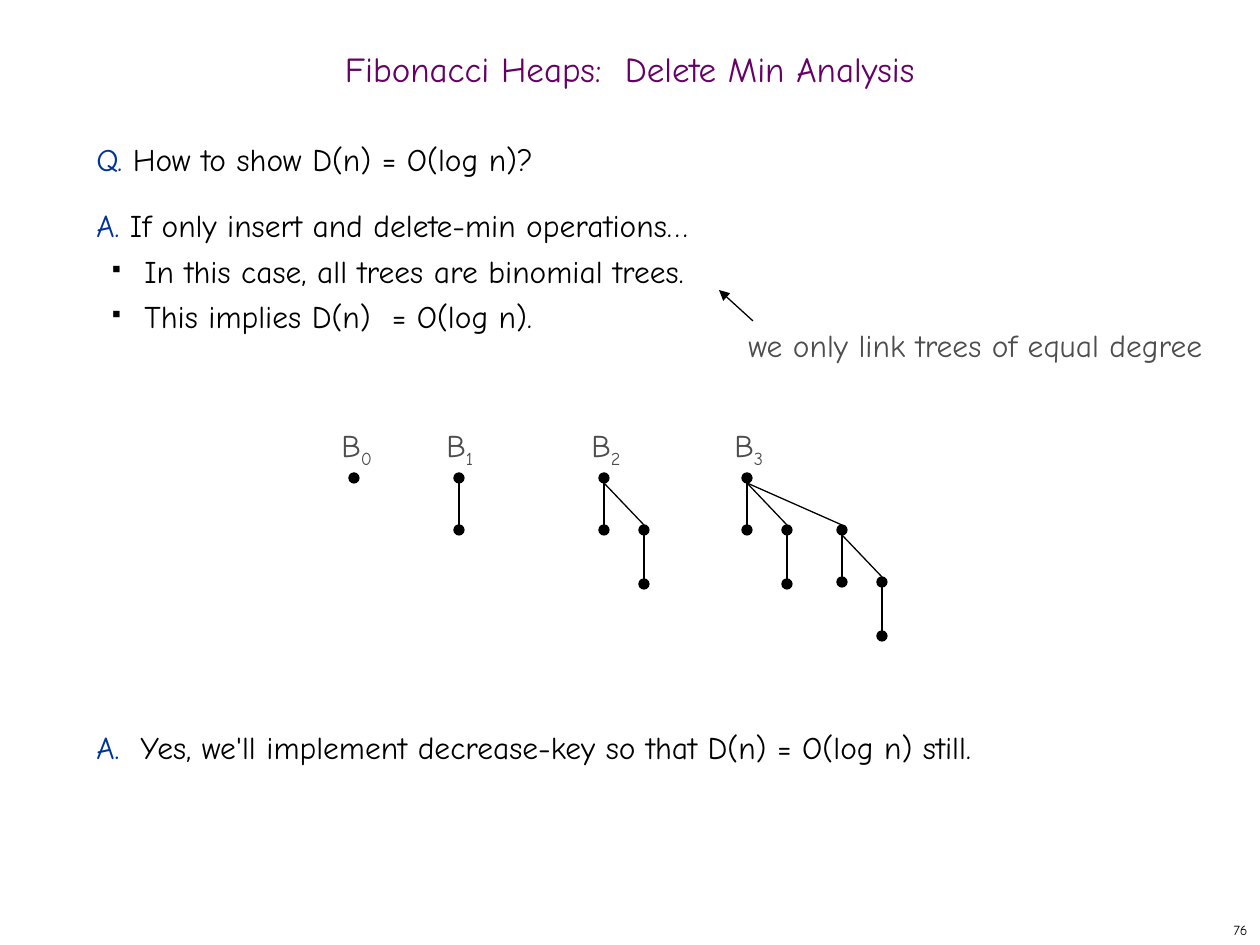
"""Build the slide on binomial trees in the analysis of delete-min."""
from dataclasses import dataclass

from lxml.etree import SubElement
from pptx import Presentation
from pptx.dml.color import RGBColor
from pptx.enum.shapes import MSO_CONNECTOR, MSO_SHAPE
from pptx.enum.text import MSO_ANCHOR, MSO_AUTO_SIZE, PP_ALIGN
from pptx.oxml.ns import qn
from pptx.util import Emu, Pt


@dataclass(frozen=True)
class Theme:
    font: str = "Comic Neue"
    purple: str = "660066"
    blue: str = "003399"
    black: str = "000000"
    gray: str = "4D4D4D"
    title: int = 20
    body: int = 18
    number: int = 8
    line: float = 0.75


def px(n):
    return Emu(round(n * 914400 / 126))


def apply(obj, values):
    for name, value in values.items():
        setattr(obj, name, value)


class Deck:
    NODE = 10
    SPREAD = (0, 40, 95)

    def __init__(self, theme):
        self.theme = theme
        self.prs = Presentation()
        apply(self.prs, {"slide_width": px(1260), "slide_height": px(945)})
        self.s = self.prs.slides.add_slide(self.prs.slide_layouts[5])

    def frame(self, sp, anchor):
        tf = sp.text_frame
        apply(tf, {"word_wrap": True, "auto_size": MSO_AUTO_SIZE.NONE,
                   "vertical_anchor": anchor})
        return tf

    def run(self, p, text, color, size):
        r = p.add_run()
        r.text = text
        apply(r.font, {"name": self.theme.font, "size": Pt(size)})
        r.font.color.rgb = RGBColor.from_string(color)
        return r

    def title(self, text, x, y, w, h):
        sp = self.s.shapes.title
        apply(sp, {"left": px(x), "top": px(y), "width": px(w), "height": px(h)})
        p = self.frame(sp, MSO_ANCHOR.MIDDLE).paragraphs[0]
        apply(p, {"alignment": PP_ALIGN.CENTER, "line_spacing": 0.7})
        self.run(p, text, self.theme.purple, self.theme.title)

    def box(self, x, y, w, h, anchor=MSO_ANCHOR.TOP):
        sp = self.s.shapes.add_textbox(px(x), px(y), px(w), px(h))
        return self.frame(sp, anchor)

    def text(self, text, x, y, w, h, color, size, align=PP_ALIGN.LEFT,
             anchor=MSO_ANCHOR.TOP):
        p = self.box(x, y, w, h, anchor).paragraphs[0]
        p.alignment = align
        self.run(p, text, color, size)
        return p

    def body(self, items, x, y, w, h):
        tf = self.box(x, y, w, h)
        for i, (lead, text, before) in enumerate(items):
            p = tf.add_paragraph() if i else tf.paragraphs[0]
            apply(p, {"line_spacing": Pt(26), "space_before": Pt(before)})
            if lead:
                self.run(p, lead, self.theme.blue, self.theme.body)
            else:
                self.bullet(p)
            self.run(p, text, self.theme.black, self.theme.body)

    def bullet(self, p):
        p.level = 1
        pPr = p._p.get_or_add_pPr()
        pPr.set("marL", str(px(48)))
        pPr.set("indent", str(px(-32)))
        color = SubElement(pPr, qn("a:buClr"))
        SubElement(color, qn("a:srgbClr"), val=self.theme.black)
        SubElement(pPr, qn("a:buSzPct"), val="35000")
        SubElement(pPr, qn("a:buChar"), char="■")

    def line(self, x1, y1, x2, y2, arrow=False):
        sp = self.s.shapes.add_connector(
            MSO_CONNECTOR.STRAIGHT, px(x1), px(y1), px(x2), px(y2))
        sp.line.color.rgb = RGBColor.from_string(self.theme.black)
        sp.line.width = Pt(self.theme.line)
        if arrow:
            SubElement(sp.line._get_or_add_ln(), qn("a:tailEnd"), type="triangle")
        SubElement(sp._element.spPr, qn("a:effectLst"))

    def node(self, x, y):
        r = self.NODE / 2
        sp = self.s.shapes.add_shape(
            MSO_SHAPE.OVAL, px(x - r), px(y - r), px(self.NODE), px(self.NODE))
        sp.shadow.inherit = False
        sp.fill.solid()
        sp.fill.fore_color.rgb = RGBColor.from_string(self.theme.black)
        sp.line.color.rgb = RGBColor.from_string(self.theme.black)
        sp.line.width = Pt(self.theme.line)

    def tree(self, x, y, order, drop=52):
        self.node(x, y)
        r = self.NODE // 2
        for child in range(order):
            cx, cy = x + self.SPREAD[child], y + drop
            self.line(x, y + r, cx, cy - r)
            self.tree(cx, cy, child, 54 if child == 1 else 52)

    def label(self, order, x, y):
        p = self.text("B", x, y, 60, 50, self.theme.gray, self.theme.body)
        r = self.run(p, str(order), self.theme.gray, self.theme.body)
        r.font._element.set("baseline", "-25000")


def main():
    theme = Theme()
    deck = Deck(theme)
    deck.title("Fibonacci Heaps:  Delete Min Analysis", 0, 42, 1260, 63)
    deck.body([
        ("Q. ", "How to show D(n) = O(log n)?", 12),
        ("A. ", "If only insert and delete-min operations…", 12),
        ("", "In this case, all trees are binomial trees.", 0),
        ("", "This implies D(n)  = O(log n).", 0),
        ("A.  ", "Yes, we'll implement decrease-key so that D(n) = O(log n) still.", 220),
    ], 84, 126, 1081, 746)
    for order, x in enumerate((354, 459, 604, 747)):
        deck.label(order, x - 25, 420)
        deck.tree(x, 478, order)
    deck.text("we only link trees of equal degree", 736, 320, 524, 50,
              theme.gray, theme.body)
    deck.line(753, 321, 719, 290, arrow=True)
    deck.text("76", 998, 914, 262, 31, theme.black, theme.number,
              PP_ALIGN.RIGHT, MSO_ANCHOR.MIDDLE)
    deck.prs.save("out.pptx")


if __name__ == "__main__":
    main()
